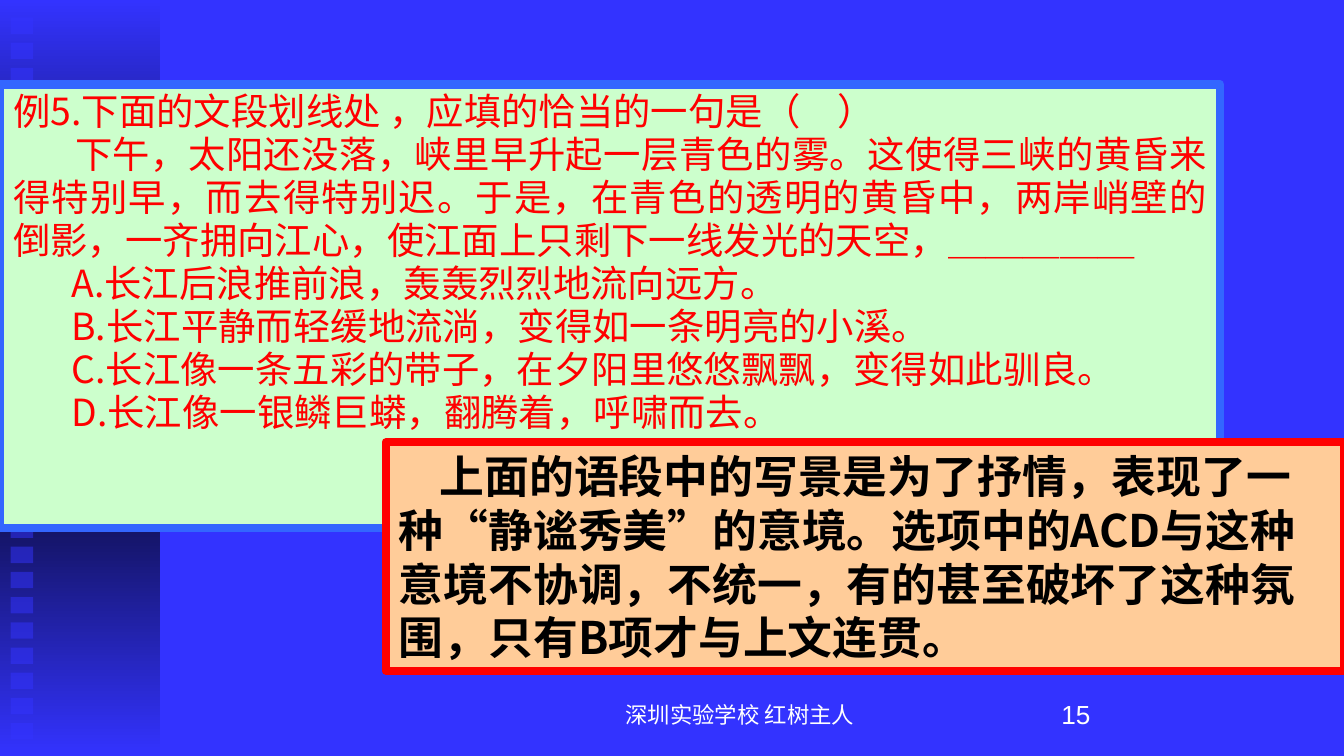
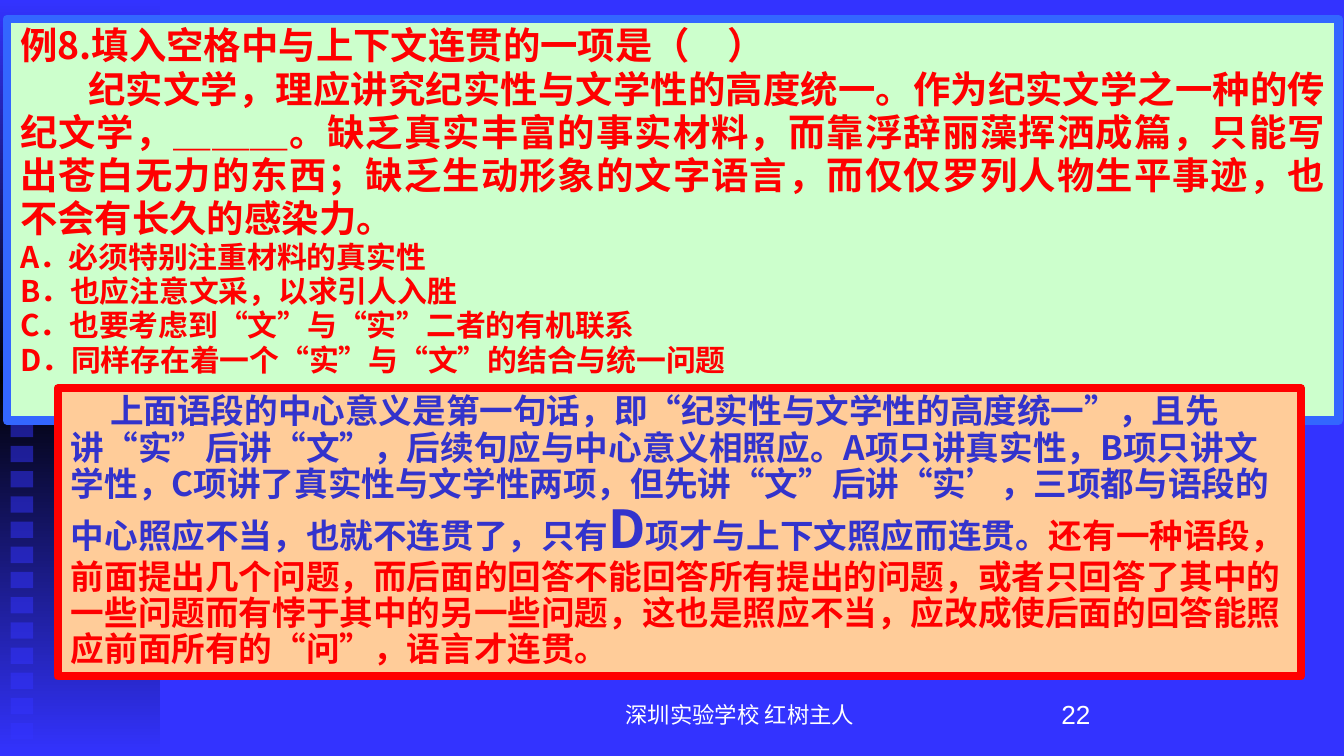
import pptx
import pptx.dml.color
import pptx.enum.shapes
import pptx.enum.text
import pptx.oxml
import pptx.oxml.ns
import pptx.util
from dataclasses import dataclass
from lxml import etree

Cm, Pt = pptx.util.Cm, pptx.util.Pt
RECT = pptx.enum.shapes.MSO_SHAPE.RECTANGLE
ALIGN = pptx.enum.text.PP_ALIGN
ANCHOR = pptx.enum.text.MSO_ANCHOR
qn = pptx.oxml.ns.qn


@dataclass(frozen=True)
class Theme:
    blue: str = "3333FF"
    black: str = "000000"
    white: str = "FFFFFF"
    red: str = "FF0000"
    indigo: str = "3333CC"
    mint: str = "CCFFCC"
    mint_edge: str = "3366FF"
    peach: str = "FFCC99"
    cjk: str = "Noto Sans CJK SC"
    latin: str = "Arial"
    question: int = 20
    choice: int = 16
    answer: int = 24
    long_answer: int = 18
    key_letter: int = 28
    footer: int = 12
    number: int = 14


T = Theme()
WIDTH, HEIGHT = 25.4, 14.29
FOOTER = "深圳实验学校 红树主人"


def rgb(value):
    return pptx.dml.color.RGBColor.from_string(value)


def box(s, at, fill, line=None, line_width=0):
    """Rectangle with a plain fill and an optional outline."""
    sp = s.shapes.add_shape(RECT, *map(Cm, at))
    sp.shadow.inherit = False
    sp.fill.solid()
    sp.fill.fore_color.rgb = rgb(fill)
    if line:
        sp.line.color.rgb = rgb(line)
        sp.line.width = Pt(line_width)
    else:
        sp.line.fill.background()
    return sp


def style(p, size, color, bold=False, name=T.cjk, align=ALIGN.LEFT,
          spacing=None, first=0, margin=0):
    """Paragraph format; first is the first-line indent, in cm like margin."""
    p.alignment = align
    if spacing:
        p.line_spacing = spacing
    pPr = p._p.get_or_add_pPr()
    pPr.set("marL", str(Cm(margin)))
    pPr.set("indent", str(Cm(first)))
    f = p.font
    f.size, f.bold, f.name = Pt(size), bold, name
    f.color.rgb = rgb(color)
    ea = etree.SubElement(pPr.find(qn("a:defRPr")), qn("a:ea"))
    ea.set("typeface", T.cjk)


def prepare(sp, anchor=ANCHOR.TOP):
    tf = sp.text_frame
    tf.word_wrap = True
    tf.vertical_anchor = anchor
    return tf


# Shared background, side band and footer
def side_band(s, rows):
    band = box(s, (0, 0, 3.02, HEIGHT), T.black)
    stops = "".join(
        f'<a:gs pos="{pos}"><a:srgbClr val="{color}"/></a:gs>'
        for pos, color in ((0, T.blue), (50000, T.black), (100000, T.blue)))
    grad = pptx.oxml.parse_xml(
        f'<a:gradFill {pptx.oxml.ns.nsdecls("a")} rotWithShape="1">'
        f'<a:gsLst>{stops}</a:gsLst><a:lin ang="5400000" scaled="0"/></a:gradFill>')
    spPr = band._element.spPr
    spPr.replace(spPr.find(qn("a:solidFill")), grad)

    top, pitch = 0.33, 13.34 / 28
    for row in rows:
        square = box(s, (0.2, top + row * pitch, 0.43, 0.31), T.blue)
        color = square._element.spPr.find(qn("a:solidFill"))[0]
        etree.SubElement(color, qn("a:alpha")).set("val", "50000")


def footer_text(s, left, width, text, size, **fmt):
    sp = s.shapes.add_textbox(Cm(left), Cm(13.03), Cm(width), Cm(0.94))
    p = prepare(sp, ANCHOR.MIDDLE).paragraphs[0]
    p.text = text
    style(p, size, T.white, name=T.latin, **fmt)


def base_slide(prs, number, rows):
    s = prs.slides.add_slide(prs.slide_layouts[6])
    s.background.fill.solid()
    s.background.fill.fore_color.rgb = rgb(T.blue)
    side_band(s, rows)
    footer_text(s, 9.96, 8.05, FOOTER, T.footer, align=ALIGN.CENTER)
    footer_text(s, 19.48, 5.28, str(number), T.number, margin=0.33)
    return s


# Question and answer panels
def question_panel(s, at, title, passage, choices, passage_indent,
                   choice_indent=0, choice_size=T.question, bold=False):
    tf = prepare(box(s, at, T.mint, T.mint_edge, 4.5))
    lines = [(title, T.question, 0), (passage, T.question, passage_indent)]
    lines += [(c, choice_size, choice_indent) for c in choices]
    for i, (text, size, first) in enumerate(lines):
        p = tf.add_paragraph() if i else tf.paragraphs[0]
        p.text = text
        style(p, size, T.red, bold, align=ALIGN.JUSTIFY, spacing=0.96, first=first)


def answer_panel(s, at, runs, size, color, first, spacing=None):
    """Runs are (text, overrides), with size and color as overrides."""
    tf = prepare(box(s, at, T.peach, T.red, 4.25))
    p = tf.paragraphs[0]
    style(p, size, color, bold=True, spacing=spacing, first=first)
    for text, change in runs:
        r = p.add_run()
        r.text = text
        if "size" in change:
            r.font.size = Pt(change["size"])
        if "color" in change:
            r.font.color.rgb = rgb(change["color"])


def example_5(prs):
    s = base_slide(prs, 15, [*range(3), *range(20, 29)])
    question_panel(
        s, (0, 1.6, 23.06, 8.38),
        "例5.下面的文段划线处 ，应填的恰当的一句是（　）",
        "下午，太阳还没落，峡里早升起一层青色的雾。这使得三峡的黄昏来得特别早，"
        "而去得特别迟。于是，在青色的透明的黄昏中，两岸峭壁的倒影，一齐拥向江心，"
        "使江面上只剩下一线发光的天空，＿＿＿＿＿",
        ["A.长江后浪推前浪，轰轰烈烈地流向远方。",
         "B.长江平静而轻缓地流淌，变得如一条明亮的小溪。",
         "C.长江像一条五彩的带子，在夕阳里悠悠飘飘，变得如此驯良。",
         "D.长江像一银鳞巨蟒，翻腾着，呼啸而去。"],
        passage_indent=1.17, choice_indent=1.1)
    answer_panel(
        s, (7.29, 8.36, 18.11, 4.32),
        [("上面的语段中的写景是为了抒情，表现了一种“静谧秀美”的意境。"
          "选项中的ACD与这种意境不协调，不统一，有的甚至破坏了这种氛围，"
          "只有B项才与上文连贯。", {})],
        T.answer, T.black, first=0.77)


def example_8(prs):
    s = base_slide(prs, 22, [0, *range(16, 29)])
    question_panel(
        s, (0.13, 0.36, 25.17, 7.59),
        "例8.填入空格中与上下文连贯的一项是（　）",
        "纪实文学，理应讲究纪实性与文学性的高度统一。作为纪实文学之一种的传纪文学，"
        "＿＿＿。缺乏真实丰富的事实材料，而靠浮辞丽藻挥洒成篇，只能写出苍白无力的东西；"
        "缺乏生动形象的文字语言，而仅仅罗列人物生平事迹，也不会有长久的感染力。",
        ["A．必须特别注重材料的真实性",
         "B．也应注意文采，以求引人入胜",
         "C．也要考虑到“文”与“实”二者的有机联系",
         "D．同样存在着一个“实”与“文”的结合与统一问题"],
        passage_indent=1.29, choice_size=T.choice, bold=True)
    answer_panel(
        s, (1.09, 7.34, 23.5, 5.44),
        [("上面语段的中心意义是第一句话，即“纪实性与文学性的高度统一”，"
          "且先讲“实”后讲“文”，后续句应与中心意义相照应。A项只讲真实性，"
          "B项只讲文学性，C项讲了真实性与文学性两项，但先讲“文”后讲“实’，"
          "三项都与语段的中心照应不当，也就不连贯了，只有", {}),
         ("D", {"size": T.key_letter}),
         ("项才与上下文照应而连贯。", {}),
         ("还有一种语段，前面提出几个问题，而后面的回答不能回答所有提出的问题，"
          "或者只回答了其中的一些问题而有悖于其中的另一些问题，这也是照应不当，"
          "应改成使后面的回答能照应前面所有的“问”，语言才连贯。", {"color": T.red})],
        T.long_answer, T.indigo, first=0.74, spacing=0.9)


def main():
    prs = pptx.Presentation()
    prs.slide_width, prs.slide_height = Cm(WIDTH), Cm(HEIGHT)
    example_5(prs)
    example_8(prs)
    prs.save("out.pptx")


if __name__ == "__main__":
    main()
